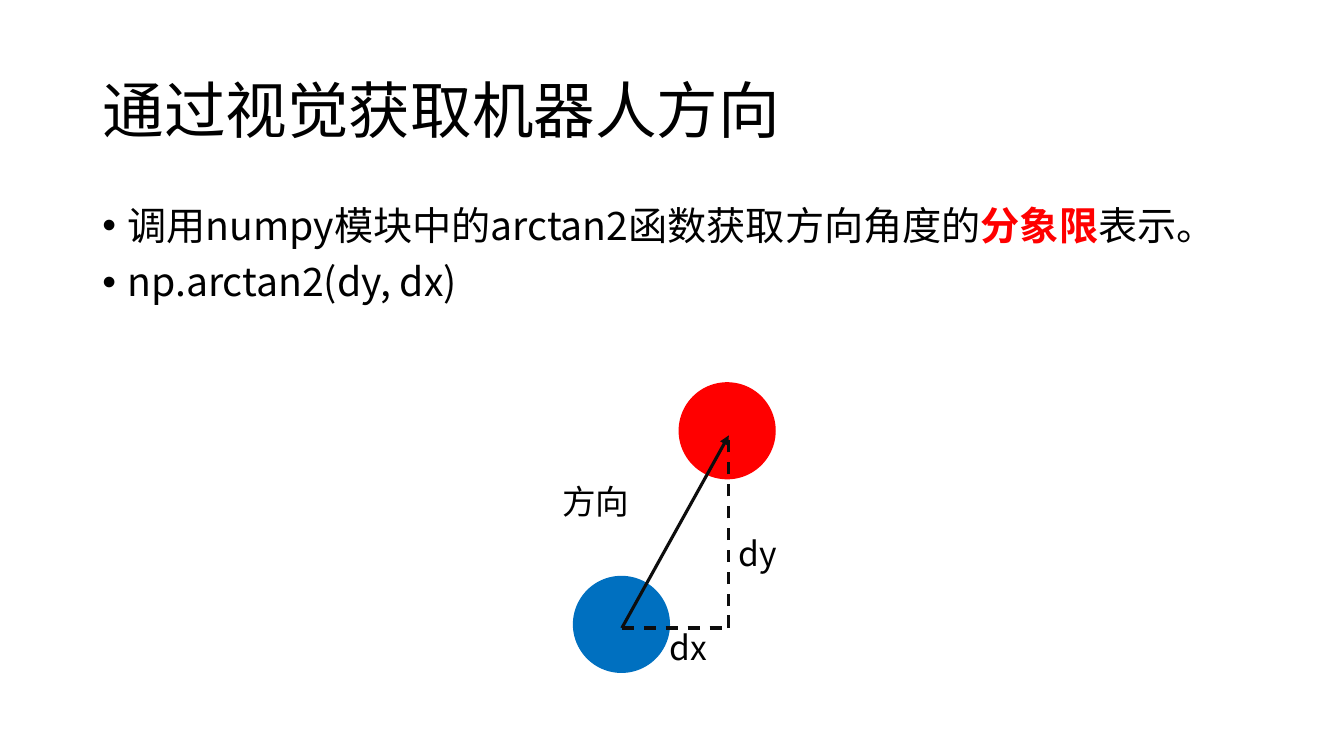
"""Build a slide on finding a robot's direction with arctan2."""
from dataclasses import dataclass

from lxml import etree
from pptx import Presentation
from pptx.dml.color import RGBColor
from pptx.enum import dml, shapes, text
from pptx.oxml import ns
from pptx.util import Pt


@dataclass(frozen=True)
class Theme:
    font: str = "Noto Sans CJK SC"
    black: str = "000000"
    red: str = "FF0000"
    blue: str = "0070C0"
    line: str = "0D0D0D"
    title_size: float = 44
    body_size: float = 28
    label_size: float = 24
    line_width: float = 2.25


THEME = Theme()
SLIDE_SIZE = (960, 540)
TITLE = "通过视觉获取机器人方向"
TITLE_BOX = (66, 28.8, 828, 104.4)
BODY_BOX = (66, 144, 828, 342.6)
BULLETS = [
    [("调用numpy模块中的arctan2函数获取方向角度的", False), ("分象限", True), ("表示。", False)],
    [("np.arctan2(dy, dx)", False)],
]
DIAMETER = 68.4
MARKERS = [((519.4, 307.7), THEME.red), ((443.9, 446), THEME.blue)]
START, END = (444.2, 448.6), (520.6, 311)
LABEL_SIZE = (132.5, 36)
LABELS = [("方向", (394.5, 339.8)), ("dy", (520.6, 377.3)), ("dx", (471.3, 444.3))]


def add_child(parent, tag, **attributes):
    return etree.SubElement(parent, ns.qn(tag), attributes)


def add_run(paragraph, words, size, color=THEME.black, bold=False):
    run = paragraph.add_run()
    run.text = words
    run.font.size = Pt(size)
    run.font.bold = bold
    run.font.color.rgb = RGBColor.from_string(color)
    run.font.name = THEME.font
    add_child(run.font._element, "a:ea", typeface=THEME.font)


def add_text_box(slide, box):
    frame = slide.shapes.add_textbox(*map(Pt, box)).text_frame
    frame.word_wrap = True
    return frame


def add_title(slide):
    title = slide.shapes.title
    title.left, title.top, title.width, title.height = map(Pt, TITLE_BOX)
    frame = title.text_frame
    frame.vertical_anchor = text.MSO_ANCHOR.MIDDLE
    paragraph = frame.paragraphs[0]
    paragraph.alignment = text.PP_ALIGN.LEFT
    paragraph.line_spacing = 0.9
    add_run(paragraph, TITLE, THEME.title_size)


def add_bullets(slide):
    frame = add_text_box(slide, BODY_BOX)
    for index, runs in enumerate(BULLETS):
        paragraph = frame.add_paragraph() if index else frame.paragraphs[0]
        properties = paragraph._p.get_or_add_pPr()
        properties.set("marL", str(Pt(18)))
        properties.set("indent", str(-Pt(18)))
        add_child(properties, "a:buFont", typeface="Arial")
        add_child(properties, "a:buChar", char="•")
        paragraph.line_spacing = 0.9
        paragraph.space_before = Pt(10 if index else 0)
        for words, strong in runs:
            color = THEME.red if strong else THEME.black
            add_run(paragraph, words, THEME.body_size, color, strong)


def add_marker(slide, center, color):
    left, top = (value - DIAMETER / 2 for value in center)
    marker = slide.shapes.add_shape(
        shapes.MSO_SHAPE.OVAL, Pt(left), Pt(top), Pt(DIAMETER), Pt(DIAMETER))
    marker.shadow.inherit = False
    marker.fill.solid()
    marker.fill.fore_color.rgb = RGBColor.from_string(color)
    marker.line.color.rgb = RGBColor.from_string(color)
    marker.line.width = Pt(1)


def add_line(slide, start, end, dashed):
    connector = slide.shapes.add_connector(
        shapes.MSO_CONNECTOR.STRAIGHT, *map(Pt, start + end))
    connector.line.color.rgb = RGBColor.from_string(THEME.line)
    connector.line.width = Pt(THEME.line_width)
    if dashed:
        connector.line.dash_style = dml.MSO_LINE.DASH
    else:
        add_child(connector.line._get_or_add_ln(), "a:tailEnd", type="triangle")
    add_child(connector._element.spPr, "a:effectLst")


def main():
    presentation = Presentation()
    presentation.slide_width, presentation.slide_height = map(Pt, SLIDE_SIZE)
    slide = presentation.slides.add_slide(presentation.slide_layouts[5])
    add_title(slide)
    add_bullets(slide)
    for center, color in MARKERS:
        add_marker(slide, center, color)
    add_line(slide, START, END, dashed=False)
    add_line(slide, START, (END[0] - 5, START[1]), dashed=True)
    add_line(slide, (END[0], START[1]), END, dashed=True)
    for words, position in LABELS:
        frame = add_text_box(slide, position + LABEL_SIZE)
        add_run(frame.paragraphs[0], words, THEME.label_size)
    presentation.save("out.pptx")


if __name__ == "__main__":
    main()
